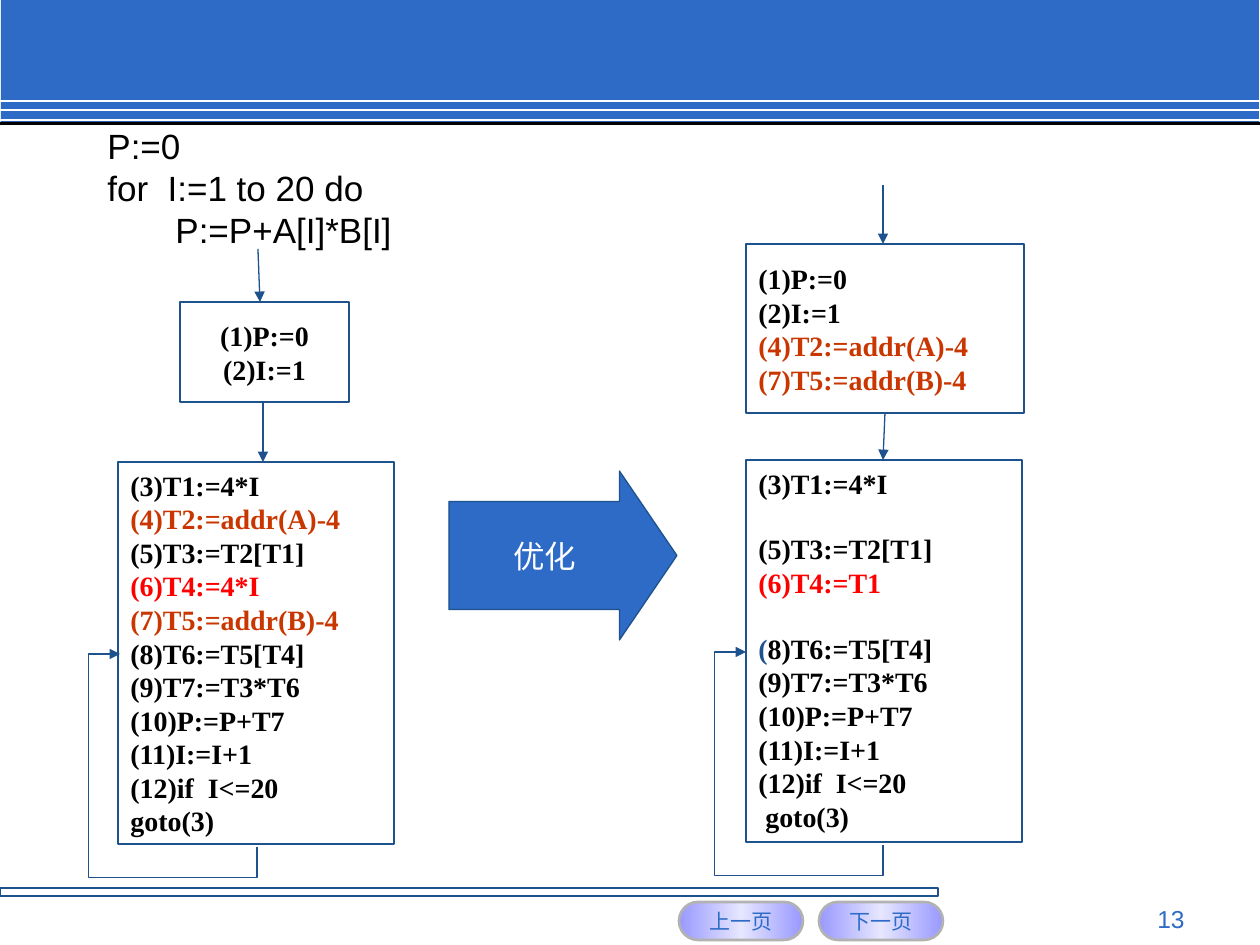
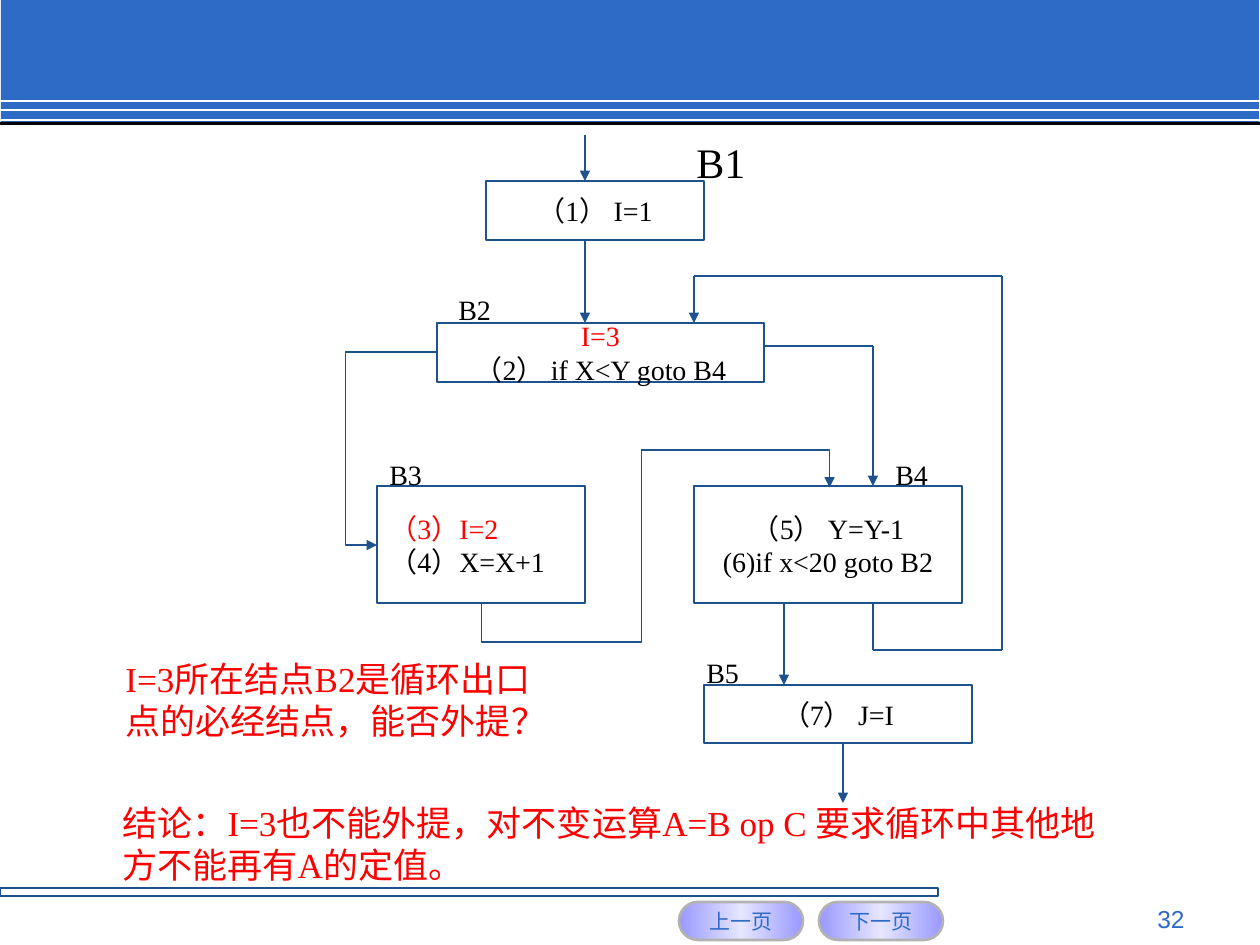
from copy import deepcopy
from itertools import pairwise

from lxml.etree import SubElement
from pptx import Presentation
from pptx.dml.color import RGBColor
from pptx.enum.shapes import MSO_CONNECTOR, MSO_SHAPE
from pptx.enum.text import MSO_ANCHOR, PP_ALIGN
from pptx.oxml.ns import qn
from pptx.util import Pt

EMU_PER_PX = 914400 / 126
SLIDE_SIZE = (1260, 945)
COLOURS = {
    "blue": "2D6BC7", "outline": "1D528D", "black": "000000", "white": "FFFFFF",
    "red": "FF0000", "rust": "C93600", "lilac": "9999FF", "pale": "E6E6FF",
    "grey": "B2B2B2",
}
SANS, SERIF = "Arial", "Times New Roman"
LINE_PITCH = 18.4  # points, one 16 pt line
ALIGN = {"left": PP_ALIGN.LEFT, "center": PP_ALIGN.CENTER, "right": PP_ALIGN.RIGHT}
ANCHOR = {"top": MSO_ANCHOR.TOP, "middle": MSO_ANCHOR.MIDDLE}

# Shared frame
BAND = (1, 0, 1258, 125)
BAND_STRIPES = (101, 110, 120)
BAND_EDGE = (0, 122, 1260, 3)
FOOTER_RULE = (0, 888, 938, 8)
NAVIGATION = {"上一页": 679, "下一页": 819}
PAGE_NUMBER = (903, 898, 294, 34)

# A line is a string or a list of (text, colour) runs; None skips a line.
ADDR_A = [("(4)T2:=addr(A)-4", "rust")]
ADDR_B = [("(7)T5:=addr(B)-4", "rust")]
ENTRY = ["(1)P:=0", "(2)I:=1"]
LOOP_END = ["(9)T7:=T3*T6", "(10)P:=P+T7", "(11)I:=I+1", "(12)if  I<=20"]

OPTIMISATION = {
    "page": 13,
    "blocks": [
        ((180, 302, 169, 100), ENTRY, "center", "middle"),
        ((118, 462, 276, 382),
         ["(3)T1:=4*I", ADDR_A, "(5)T3:=T2[T1]", [("(6)T4:=4*I", "red")], ADDR_B,
          "(8)T6:=T5[T4]", *LOOP_END, "goto(3)"], "left", "top"),
        ((746, 244, 278, 169), [*ENTRY, ADDR_A, ADDR_B], "left", "middle"),
        ((746, 460, 276, 382),
         ["(3)T1:=4*I", None, "(5)T3:=T2[T1]", [("(6)T4:=T1", "red")], None,
          [("(", "outline"), ("8)T6:=T5[T4]", "black")], *LOOP_END, " goto(3)"],
         "left", "top"),
    ],
    "routes": [
        [(258, 249), (260, 302)],
        [(263, 403), (263, 462)],
        [(883, 185), (883, 244)],
        [(885, 413), (883, 460)],
    ],
    # frame before turning, preset, turn, flips, adjustments
    "elbows": [
        ((x, y, 193, 137), "bentConnector4", 270, "V", (-0.16, 1.23))
        for x, y in ((92, 682), (718, 680))
    ],
}
SOURCE_LOOP = ["P:=0", "for  I:=1 to 20 do", "       P:=P+A[I]*B[I]"]

FLOW_GRAPH = {
    "page": 32,
    "blocks": [
        ((486, 181, 218, 59), ["（1） I=1"], "center", "middle"),
        ((437, 323, 327, 59), [[("I=3", "red")], "（2） if X<Y goto B4"],
         "center", "middle"),
        ((377, 486, 208, 117), [[("（3）I=2", "red")], "（4）X=X+1"],
         "left", "middle"),
        ((694, 486, 268, 117), ["（5） Y=Y-1", "(6)if x<20 goto B2"],
         "center", "middle"),
        ((704, 685, 268, 58), ["（7） J=I"], "center", "middle"),
    ],
    "routes": [
        [(585, 135), (585, 181)],
        [(585, 240), (585, 323)],
        [(784, 603), (784, 685)],
        [(843, 743), (843, 803)],
        [(873, 603), (873, 650), (1002, 650), (1002, 276), (694, 276), (694, 323)],
        [(764, 346), (873, 346), (873, 486)],
    ],
    "elbows": [
        ((377, 352, 59, 193), "bentConnector3", 180, "V", (1.53,)),
        ((597, 372, 117, 348), "bentConnector5", 90, "HV", (-0.32, 0.46, 1.32)),
    ],
}
BLOCK_LABELS = [
    ("B1", (684, 130, 74, 63), 24),
    ("B2", (446, 286, 58, 47), 16),
    ("B3", (377, 451, 58, 47), 16),
    ("B4", (883, 451, 58, 47), 16),
    ("B5", (694, 649, 58, 47), 16),
]
REMARKS = [
    ("I=3所在结点B2是循环出口点的必经结点，能否外提？", (113, 651, 446, 97)),
    ("结论：I=3也不能外提，对不变运算A=B op C 要求循环中其他地方不能再有A的定值。",
     (110, 795, 1022, 97)),
]


def px(length):
    return round(length * EMU_PER_PX)


def rgb(colour):
    return RGBColor.from_string(COLOURS[colour])


def write(shape, lines, size=16, font=SERIF, colour="black", bold=False,
          align="left", anchor="top", wrap=True, bottom=6):
    frame = shape.text_frame
    frame.word_wrap = wrap
    frame.vertical_anchor = ANCHOR[anchor]
    frame.margin_bottom = px(bottom)
    paragraph, skipped = frame.paragraphs[0], 0
    for index, line in enumerate(lines):
        if line is None:
            skipped += 1
            continue
        if index:
            paragraph = frame.add_paragraph()
        paragraph.alignment = ALIGN[align]
        if skipped:
            paragraph.space_before = Pt(skipped * LINE_PITCH)
            skipped = 0
        for text, shade in [(line, colour)] if isinstance(line, str) else line:
            run = paragraph.add_run()
            run.text = text
            run.font.size, run.font.name, run.font.bold = Pt(size), font, bold
            run.font.color.rgb = rgb(shade)


def add_text(slide, box, lines, **text_format):
    write(slide.shapes.add_textbox(*map(px, box)), lines, **text_format)


def add_block(slide, box, fill=None, line=None, width=0.75, kind=MSO_SHAPE.RECTANGLE):
    shape = slide.shapes.add_shape(kind, *map(px, box))
    shape.shadow.inherit = False
    if fill:
        shape.fill.solid()
        shape.fill.fore_color.rgb = rgb(fill)
    else:
        shape.fill.background()
    if line:
        shape.line.color.rgb = rgb(line)
        shape.line.width = Pt(width)
    else:
        shape.line.fill.background()
    return shape


def add_line(slide, start, end, colour="outline", width=0.75, arrow=False,
             kind=MSO_CONNECTOR.STRAIGHT):
    connector = slide.shapes.add_connector(kind, *map(px, (*start, *end)))
    connector.line.color.rgb = rgb(colour)
    connector.line.width = Pt(width)
    properties = connector._element.spPr
    if arrow:
        SubElement(properties.find(qn("a:ln")), qn("a:tailEnd"), type="triangle")
    SubElement(properties, qn("a:effectLst"))
    return connector


def add_route(slide, points):
    for start, end in pairwise(points):
        add_line(slide, start, end, arrow=end == points[-1])


def add_elbow(slide, box, preset, turn, flips, adjustments):
    x, y, w, h = box
    elbow = add_line(slide, (x, y), (x + w, y + h), arrow=True,
                     kind=MSO_CONNECTOR.ELBOW)
    properties = elbow._element.spPr
    transform = properties.find(qn("a:xfrm"))
    transform.set("rot", str(turn * 60000))
    for axis in flips:
        transform.set("flip" + axis, "1")
    geometry = properties.find(qn("a:prstGeom"))
    geometry.set("prst", preset)
    guides = geometry.find(qn("a:avLst"))
    for number, value in enumerate(adjustments, 1):
        SubElement(guides, qn("a:gd"), name=f"adj{number}",
                   fmla=f"val {round(value * 100000)}")


def add_button(slide, caption, left):
    button = add_block(slide, (left, 902, 124, 38), line="grey", width=1.5,
                       kind=MSO_SHAPE.ROUNDED_RECTANGLE)
    button.adjustments[0] = 0.5
    button.fill.gradient()
    button.fill.gradient_angle = 0
    stops = button._element.spPr.find(f".//{qn('a:gsLst')}")
    stops.append(deepcopy(stops[0]))
    shades = ((0, "lilac"), (0.5, "pale"), (1, "lilac"))
    for stop, (position, shade) in zip(button.fill.gradient_stops, shades):
        stop.position = position
        stop.color.rgb = rgb(shade)
    write(button, [caption], size=12, font=SANS, colour="blue",
          align="center", anchor="middle")


def start_slide(deck, content):
    slide = deck.slides.add_slide(deck.slide_layouts[6])
    # Band and footer
    add_block(slide, BAND, fill="blue")
    for y in BAND_STRIPES:
        add_line(slide, (0, y), (SLIDE_SIZE[0], y), colour="white", width=1)
    add_block(slide, BAND_EDGE, fill="black")
    add_block(slide, FOOTER_RULE, line="outline")
    for caption, left in NAVIGATION.items():
        add_button(slide, caption, left)
    add_text(slide, PAGE_NUMBER, [str(content["page"])], size=14, font=SANS,
             colour="blue", align="right")
    # Flow chart
    for box, lines, align, anchor in content["blocks"]:
        write(add_block(slide, box, line="outline"), lines, align=align,
              anchor=anchor, bold=content is OPTIMISATION)
    for points in content["routes"]:
        add_route(slide, points)
    for elbow in content["elbows"]:
        add_elbow(slide, *elbow)
    return slide


def main():
    deck = Presentation()
    deck.slide_width, deck.slide_height = map(px, SLIDE_SIZE)

    # Loop before and after optimisation
    slide = start_slide(deck, OPTIMISATION)
    add_text(slide, (95, 142, 1050, 132), SOURCE_LOOP, size=20, font=SANS,
             anchor="middle", bottom=48)
    optimise = add_block(slide, (449, 471, 228, 169), fill="blue", line="outline",
                         kind=MSO_SHAPE.RIGHT_ARROW)
    optimise.adjustments[0], optimise.adjustments[1] = 0.64, 0.34
    write(optimise, ["优化"], size=18, colour="white", align="center",
          anchor="middle")

    # Flow graph with labels and conclusion
    slide = start_slide(deck, FLOW_GRAPH)
    for label, box, size in BLOCK_LABELS:
        add_text(slide, box, [label], size=size, wrap=False)
    for remark, box in REMARKS:
        add_text(slide, box, [remark], size=20, colour="red")

    deck.save("out.pptx")


if __name__ == "__main__":
    main()
